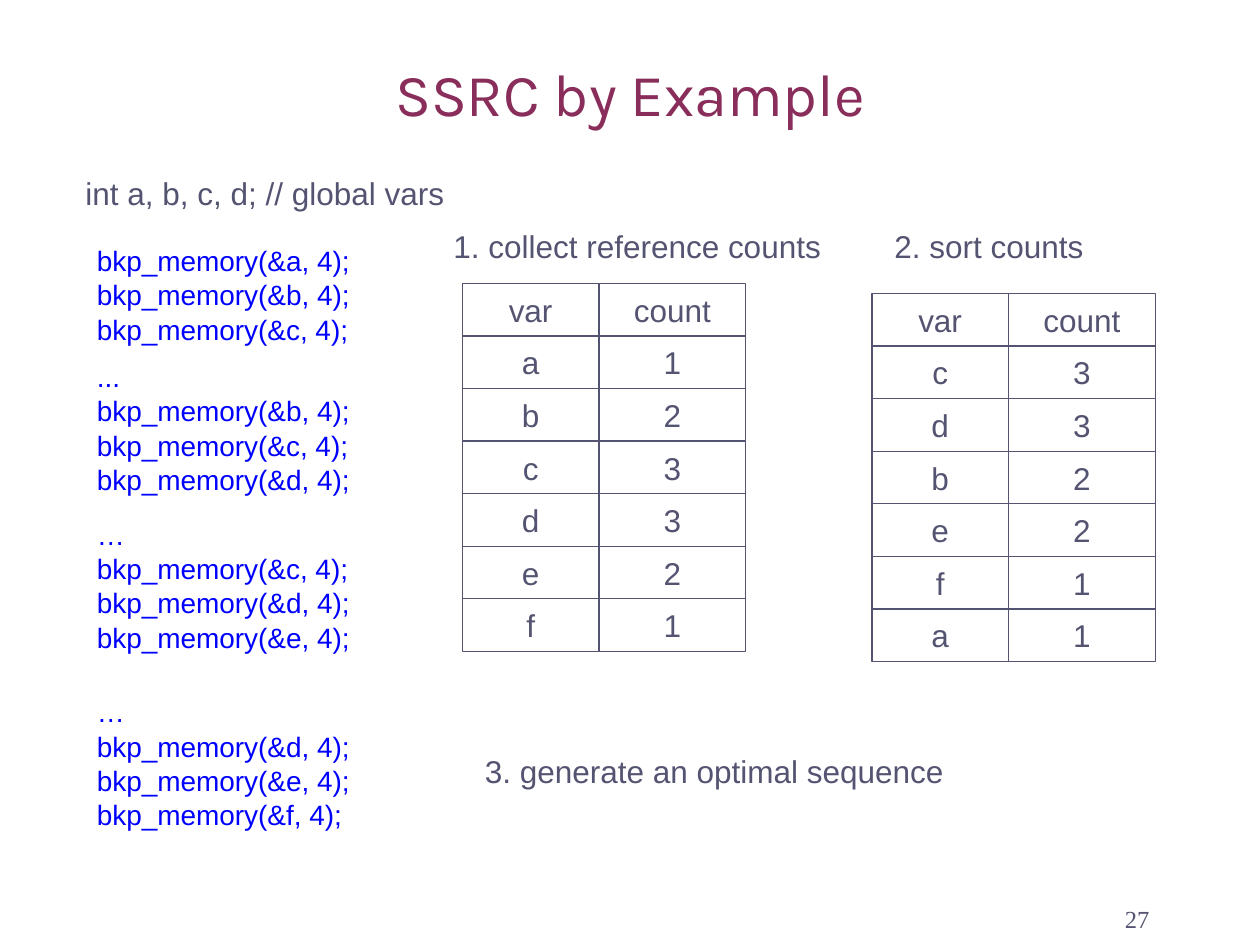
from dataclasses import dataclass

from pptx import Presentation
from pptx.dml.color import RGBColor
from pptx.enum.shapes import MSO_SHAPE
from pptx.enum.text import MSO_ANCHOR, MSO_AUTO_SIZE, PP_ALIGN
from pptx.util import Inches, Pt


@dataclass(frozen=True)
class Theme:
    title: str = "892D5B"
    text: str = "545472"
    code: str = "0000FF"
    title_font: str = "Karla"
    font: str = "Arial"
    number_font: str = "Times New Roman"
    title_size: float = 34
    text_size: float = 18
    code_size: float = 16
    number_size: float = 14
    border: float = 0.75


THEME = Theme()


def write_text(tf, text, size=THEME.text_size, font=THEME.font, color=THEME.text,
               align=PP_ALIGN.LEFT, before=0, spacing=1.0):
    for i, line in enumerate(text.split("\n")):
        p = tf.paragraphs[0] if i == 0 else tf.add_paragraph()
        p.alignment = align
        p.space_before = Pt(before)
        p.line_spacing = spacing
        r = p.add_run()
        r.text = line
        r.font.size = Pt(size)
        r.font.name = font
        r.font.color.rgb = RGBColor.from_string(color)


def add_text(s, box, text, anchor=MSO_ANCHOR.TOP, grow=True, **fmt):
    tf = s.shapes.add_textbox(*(Inches(v) for v in box)).text_frame
    tf.word_wrap = True
    tf.vertical_anchor = anchor
    tf.auto_size = MSO_AUTO_SIZE.SHAPE_TO_FIT_TEXT if grow else MSO_AUTO_SIZE.NONE
    write_text(tf, text, **fmt)


def add_title(s, box, text):
    sp = s.shapes.title
    sp.left, sp.top, sp.width, sp.height = (Inches(v) for v in box)
    tf = sp.text_frame
    tf.auto_size = MSO_AUTO_SIZE.NONE
    tf.vertical_anchor = MSO_ANCHOR.BOTTOM
    write_text(tf, text, size=THEME.title_size, font=THEME.title_font,
               color=THEME.title, align=PP_ALIGN.CENTER)


def add_label(s, box, text):
    add_text(s, box, text, before=11.2)


def add_code(s, box, names, marker=None):
    calls = [f"bkp_memory(&{name}, 4);" for name in names]
    lines = [marker, *calls] if marker else calls
    add_text(s, box, "\n".join(lines), size=THEME.code_size,
             color=THEME.code, before=10, spacing=0.5)


def add_cell(s, box, text):
    sp = s.shapes.add_shape(MSO_SHAPE.RECTANGLE, *(Inches(v) for v in box))
    sp.shadow.inherit = False
    sp.fill.background()
    sp.line.color.rgb = RGBColor.from_string(THEME.text)
    sp.line.width = Pt(THEME.border)
    tf = sp.text_frame
    tf.word_wrap = False
    tf.vertical_anchor = MSO_ANCHOR.MIDDLE
    write_text(tf, text, align=PP_ALIGN.CENTER)


def add_counts(s, box, counts):
    left, top, width, height = box
    rows = [("var", "count"), *counts]
    row_height = height / len(rows)
    name_width = width * 13 / 27
    for i, (name, count) in enumerate(rows):
        y = top + i * row_height
        add_cell(s, (left, y, name_width, row_height), name)
        add_cell(s, (left + name_width, y, width - name_width, row_height), str(count))


def main():
    prs = Presentation()
    prs.slide_width, prs.slide_height = Inches(10), Inches(7.5)
    s = prs.slides.add_slide(prs.slide_layouts[5])

    add_title(s, (0.75, 0.36, 8.5, 0.71), "SSRC by Example")
    add_label(s, (0.58, 1.33, 3.17, 0.4), "int a, b, c, d; // global vars")
    add_code(s, (0.67, 2, 3.08, 0.78), "abc")
    for top, names, marker in ((2.92, "bcd", "..."), (4.17, "cde", "…"), (5.58, "def", "…")):
        add_code(s, (0.67, top, 3.08, 1.05), names, marker)

    counts = [("a", 1), ("b", 2), ("c", 3), ("d", 3), ("e", 2), ("f", 1)]
    sorted_counts = [("c", 3), ("d", 3), ("b", 2), ("e", 2), ("f", 1), ("a", 1)]
    add_label(s, (3.5, 1.75, 3.17, 0.4), "1. collect reference counts")
    add_counts(s, (3.67, 2.25, 2.25, 2.92), counts)
    add_label(s, (7, 1.75, 2.08, 0.4), "2. sort counts")
    add_counts(s, (6.92, 2.33, 2.25, 2.92), sorted_counts)
    add_label(s, (3.75, 5.92, 4.42, 0.4), "3. generate an optimal sequence")

    add_text(s, (7.14, 6.96, 2.08, 0.5), "27", anchor=MSO_ANCHOR.BOTTOM, grow=False,
             size=THEME.number_size, font=THEME.number_font, align=PP_ALIGN.RIGHT)
    prs.save("out.pptx")


if __name__ == "__main__":
    main()
